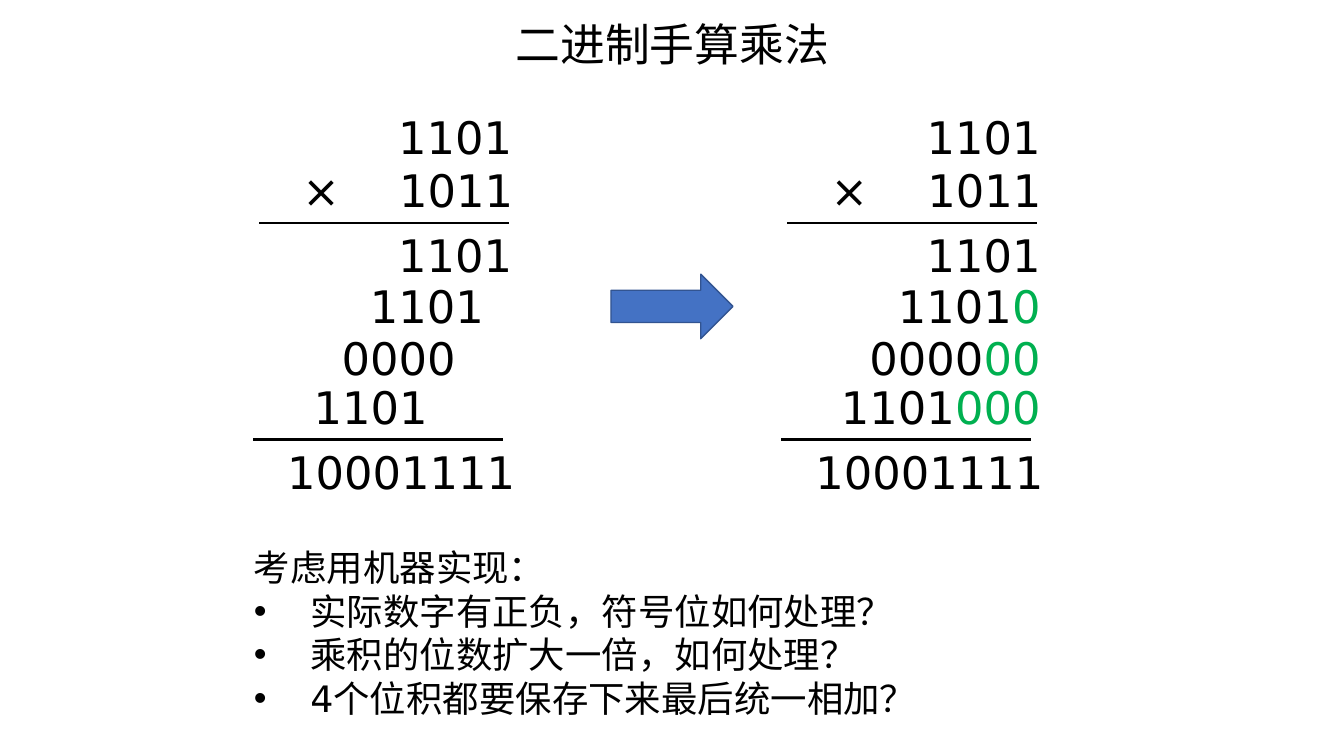
from pptx import Presentation
from pptx.dml.color import RGBColor
from pptx.enum.shapes import MSO_CONNECTOR, MSO_SHAPE
from pptx.enum.text import PP_ALIGN
from pptx.oxml.ns import qn
from pptx.util import Inches, Pt
from lxml.etree import SubElement

BLACK = RGBColor(0x00, 0x00, 0x00)
GREEN = RGBColor(0x00, 0xB0, 0x50)
BLUE = RGBColor(0x44, 0x72, 0xC4)
DARK_BLUE = RGBColor(0x32, 0x54, 0x91)

LATIN_FONT = "DejaVu Sans"
CHINESE_FONT = "Noto Sans CJK SC"

ROW_HEIGHT = 0.64
DIGIT_WIDTH = 0.28
UNITS_EDGE = 5.18
RIGHT_COLUMN_SHIFT = 5.24
PARTIAL_PRODUCTS = [("1101", 2.21), ("1101", 2.72), ("0000", 3.23), ("1101", 3.72)]
QUESTIONS = [
    "实际数字有正负，符号位如何处理？",
    "乘积的位数扩大一倍，如何处理？",
    "4个位积都要保存下来最后统一相加？",
]


def add_text_box(slide, left, top, width, height=ROW_HEIGHT):
    box = slide.shapes.add_textbox(Inches(left), Inches(top), Inches(width), Inches(height))
    box.text_frame.word_wrap = True
    return box.text_frame


def style_paragraph(paragraph, size, font_name=LATIN_FONT):
    paragraph.font.size = Pt(size)
    paragraph.font.name = font_name
    paragraph.font.color.rgb = BLACK


def add_title(slide, text):
    paragraph = add_text_box(slide, 3.97, 0.12, 5.4).paragraphs[0]
    paragraph.text = text
    paragraph.alignment = PP_ALIGN.CENTER
    style_paragraph(paragraph, 32, CHINESE_FONT)


def add_number(slide, digits, right, top, zeros=""):
    """Right-align a number at the given edge, with its filled-in zeros in green."""
    width = 0.5 + DIGIT_WIDTH * len(digits + zeros)
    paragraph = add_text_box(slide, right - width, top, width).paragraphs[0]
    paragraph.alignment = PP_ALIGN.RIGHT
    style_paragraph(paragraph, 32)
    paragraph.add_run().text = digits
    if zeros:
        run = paragraph.add_run()
        run.text = zeros
        run.font.color.rgb = GREEN


def add_multiplier(slide, digits, left, top):
    """Write the times sign and the multiplier, set apart by a tab stop."""
    paragraph = add_text_box(slide, left, top, 2.4).paragraphs[0]
    paragraph.text = f"×\t{digits}"
    tab_list = SubElement(paragraph._p.get_or_add_pPr(), qn("a:tabLst"))
    SubElement(tab_list, qn("a:tab"), pos=str(Inches(0.96)), algn="l")
    style_paragraph(paragraph, 32)


def add_rule(slide, left, top):
    rule = slide.shapes.add_connector(
        MSO_CONNECTOR.STRAIGHT, Inches(left), Inches(top), Inches(left + 2.48), Inches(top))
    rule.line.color.rgb = BLACK
    rule.line.width = Pt(1.5)
    SubElement(rule._element.spPr, qn("a:effectLst"))


def add_multiplication(slide, shift, fill_zeros):
    """Draw one worked multiplication, moved right by shift inches."""
    units_edge = UNITS_EDGE + shift
    add_number(slide, "1101", units_edge, 1.04)
    add_multiplier(slide, "1011", 2.9 + shift, 1.57)
    add_rule(slide, 2.57 + shift, 2.21)
    for place, (digits, top) in enumerate(PARTIAL_PRODUCTS):
        if fill_zeros:
            add_number(slide, digits, units_edge, top, "0" * place)
        else:
            add_number(slide, digits, units_edge - DIGIT_WIDTH * place, top)
    add_rule(slide, 2.51 + shift, 4.36)
    add_number(slide, "10001111", units_edge + 0.03, 4.36)


def add_arrow(slide):
    arrow = slide.shapes.add_shape(
        MSO_SHAPE.RIGHT_ARROW, Inches(6.06), Inches(2.72), Inches(1.21), Inches(0.64))
    arrow.shadow.inherit = False
    arrow.fill.solid()
    arrow.fill.fore_color.rgb = BLUE
    arrow.line.color.rgb = DARK_BLUE
    arrow.line.width = Pt(1)


def add_questions(slide, heading, questions):
    frame = add_text_box(slide, 2.42, 5.36, 9.11, 1.85)
    paragraph = frame.paragraphs[0]
    paragraph.text = heading
    style_paragraph(paragraph, 26)
    for question in questions:
        paragraph = frame.add_paragraph()
        paragraph.text = question
        properties = paragraph._p.get_or_add_pPr()
        properties.set("marL", str(Inches(0.56)))
        properties.set("indent", str(-Inches(0.56)))
        SubElement(properties, qn("a:buFont"), typeface="Arial")
        SubElement(properties, qn("a:buChar"), char="•")
        style_paragraph(paragraph, 26)


def main():
    presentation = Presentation()
    presentation.slide_width = Inches(13.33)
    presentation.slide_height = Inches(7.5)
    slide = presentation.slides.add_slide(presentation.slide_layouts[6])
    add_title(slide, "二进制手算乘法")
    add_multiplication(slide, 0, fill_zeros=False)
    add_multiplication(slide, RIGHT_COLUMN_SHIFT, fill_zeros=True)
    add_arrow(slide)
    add_questions(slide, "考虑用机器实现：", QUESTIONS)
    presentation.save("out.pptx")


if __name__ == "__main__":
    main()
